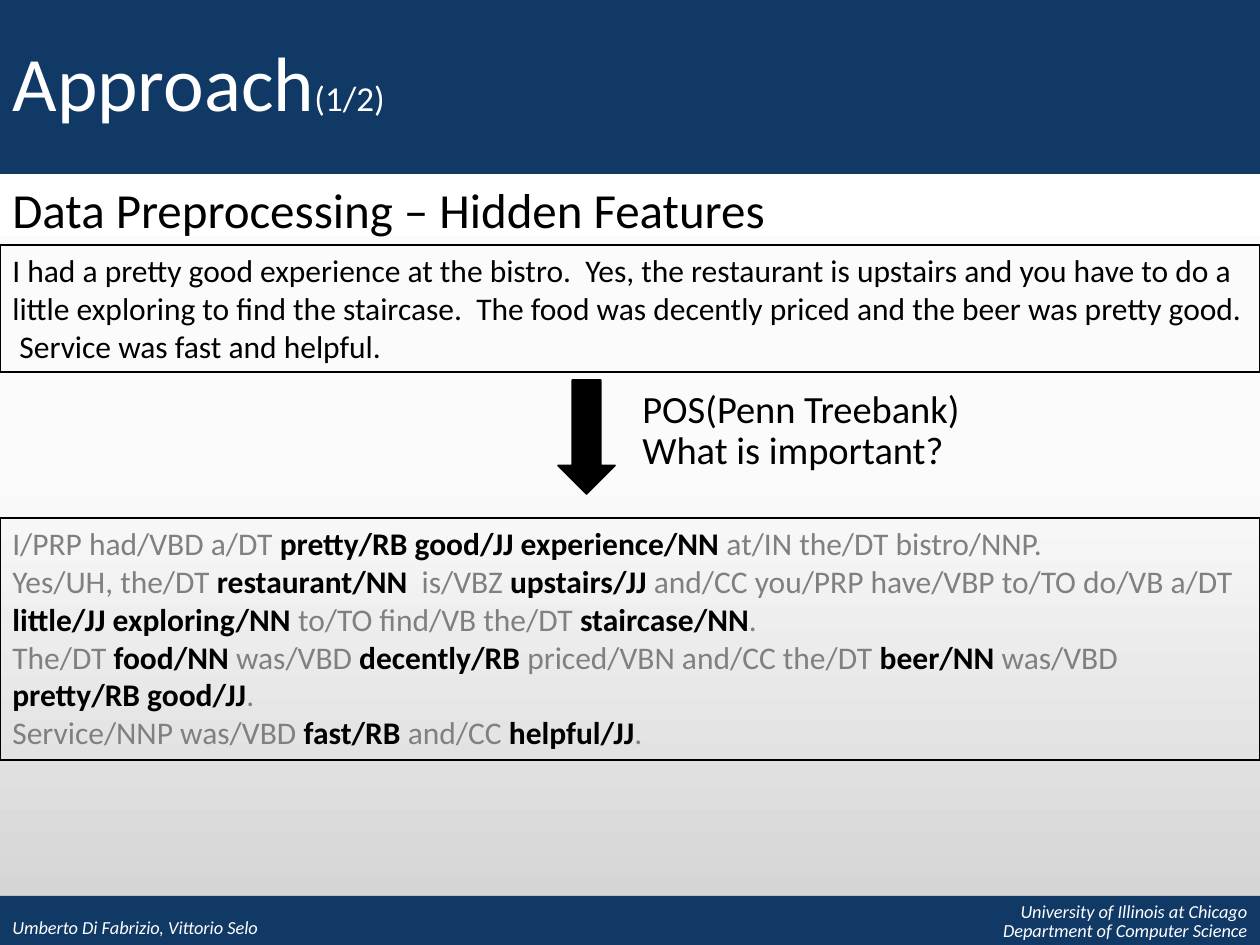
from copy import deepcopy

from pptx import Presentation
from pptx import util as u
from pptx.dml.color import RGBColor
from pptx.enum import shapes, text

PX = u.Inches(1) / 126
WIDTH, HEIGHT = 1260, 945
FONT = "Calibri"
COLORS = {
    "navy": "103966",
    "white": "FFFFFF",
    "black": "000000",
    "gray": "808080",
    "mist": "FBFBFB",
    "silver": "D1D1D1",
}
REVIEW = (
    "I had a pretty good experience at the bistro.  Yes, the restaurant is upstairs "
    "and you have to do a little exploring to find the staircase.  The food was "
    "decently priced and the beer was pretty good.  Service was fast and helpful."
)
TAGGED_SENTENCES = [
    "I/PRP had/VBD a/DT *pretty/RB good/JJ experience/NN* at/IN the/DT bistro/NNP.",
    "Yes/UH, the/DT *restaurant/NN  *is/VBZ *upstairs/JJ* and/CC you/PRP have/VBP "
    "to/TO do/VB a/DT *little/JJ exploring/NN *to/TO find/VB the/DT *staircase/NN*.",
    "The/DT *food/NN *was/VBD *decently/RB *priced/VBN and/CC the/DT *beer/NN *"
    "was/VBD *pretty/RB good/JJ*.",
    "Service/NNP was/VBD *fast/RB* and/CC *helpful/JJ*.",
]


def px(length):
    return u.Emu(round(length * PX))


def rgb(name):
    return RGBColor.from_string(COLORS[name])


def set_font(font, size, color):
    font.name = FONT
    font.size = u.Pt(size)
    font.color.rgb = rgb(color)


def set_background(slide, stops):
    fill = slide.background.fill
    fill.gradient()
    fill.gradient_angle = 270
    stop_list = slide.element.xpath(".//a:gsLst")[0]
    stop_list.append(deepcopy(stop_list[-1]))
    for stop, (position, color) in zip(fill.gradient_stops, stops):
        stop.position = position
        stop.color.rgb = rgb(color)


def add_shape(slide, kind, box, fill=None, line=None, line_width=0.75):
    shape = slide.shapes.add_shape(kind, *map(px, box))
    shape.shadow.inherit = False
    if fill:
        shape.fill.solid()
        shape.fill.fore_color.rgb = rgb(fill)
    else:
        shape.fill.background()
    if line:
        shape.line.color.rgb = rgb(line)
        shape.line.width = u.Pt(line_width)
    else:
        shape.line.fill.background()
    return shape


def add_text(slide, box, lines, size, color="black", wrap=False):
    frame = slide.shapes.add_textbox(*map(px, box)).text_frame
    frame.word_wrap = wrap
    frame.text = "\n".join(lines)
    for paragraph in frame.paragraphs:
        set_font(paragraph.font, size, color)
    return frame


def add_footer(slide, box, lines, alignment, anchor):
    frame = add_text(slide, box, lines, 10.5, "white", wrap=True)
    frame.vertical_anchor = anchor
    for paragraph in frame.paragraphs:
        paragraph.font.italic = True
        paragraph.alignment = alignment
        paragraph.line_spacing = 0.9


def add_example(slide, top, height, sentences):
    box = (0, top, WIDTH, height)
    frame = add_shape(slide, shapes.MSO_SHAPE.RECTANGLE, box, line="black").text_frame
    frame.word_wrap = True
    frame.vertical_anchor = text.MSO_ANCHOR.TOP
    frame.text = "\n".join(sentences)
    for paragraph in frame.paragraphs:
        paragraph.alignment = text.PP_ALIGN.LEFT
        set_font(paragraph.font, 18, "black")
    return frame


def highlight_features(frame):
    for paragraph in frame.paragraphs:
        parts = paragraph.text.split("*")
        paragraph.clear()
        for index, part in enumerate(parts):
            run = paragraph.add_run()
            run.text = part
            run.font.bold = index % 2 == 1
            run.font.color.rgb = rgb("black" if run.font.bold else "gray")


def set_title(slide, heading, counter):
    title = slide.shapes.title
    slide.shapes.element.append(title.element)
    title.left, title.top, title.width, title.height = map(px, (0, 37, WIDTH, 136))
    frame = title.text_frame
    frame.word_wrap = True
    frame.auto_size = text.MSO_AUTO_SIZE.NONE
    frame.vertical_anchor = text.MSO_ANCHOR.MIDDLE
    frame.margin_bottom = px(44)
    paragraph = frame.paragraphs[0]
    paragraph.alignment = text.PP_ALIGN.LEFT
    paragraph.line_spacing = 0.9
    for words, size in ((heading, 44), (counter, 20)):
        run = paragraph.add_run()
        run.text = words
        set_font(run.font, size, "white")


def main():
    presentation = Presentation()
    presentation.slide_width, presentation.slide_height = px(WIDTH), px(HEIGHT)
    slide = presentation.slides.add_slide(presentation.slide_layouts[5])
    set_background(slide, [(0, "white"), (0.5, "mist"), (1, "silver")])

    for top, height in ((0, 174), (896, 49)):
        box = (0, top, WIDTH, height)
        add_shape(slide, shapes.MSO_SHAPE.RECTANGLE, box, fill="navy")
    add_footer(slide, (0, 896, 433, 49), ["Umberto Di Fabrizio, Vittorio Selo"],
               text.PP_ALIGN.LEFT, text.MSO_ANCHOR.BOTTOM)
    add_footer(slide, (730, 896, 530, 49),
               ["University of Illinois at Chicago", "Department of Computer Science"],
               text.PP_ALIGN.RIGHT, text.MSO_ANCHOR.TOP)
    set_title(slide, "Approach", "(1/2)")

    add_text(slide, (0, 173, 786, 72), ["Data Preprocessing – Hidden Features"], 28)
    add_example(slide, 245, 127, [REVIEW])
    add_shape(slide, shapes.MSO_SHAPE.DOWN_ARROW, (558, 380, 57, 114),
              fill="black", line="black", line_width=1)
    add_text(slide, (630, 379, 347, 59), ["POS(Penn Treebank)"], 22)
    add_text(slide, (630, 420, 341, 59), ["What is important?"], 22)
    highlight_features(add_example(slide, 518, 242, TAGGED_SENTENCES))

    presentation.save("out.pptx")


if __name__ == "__main__":
    main()
